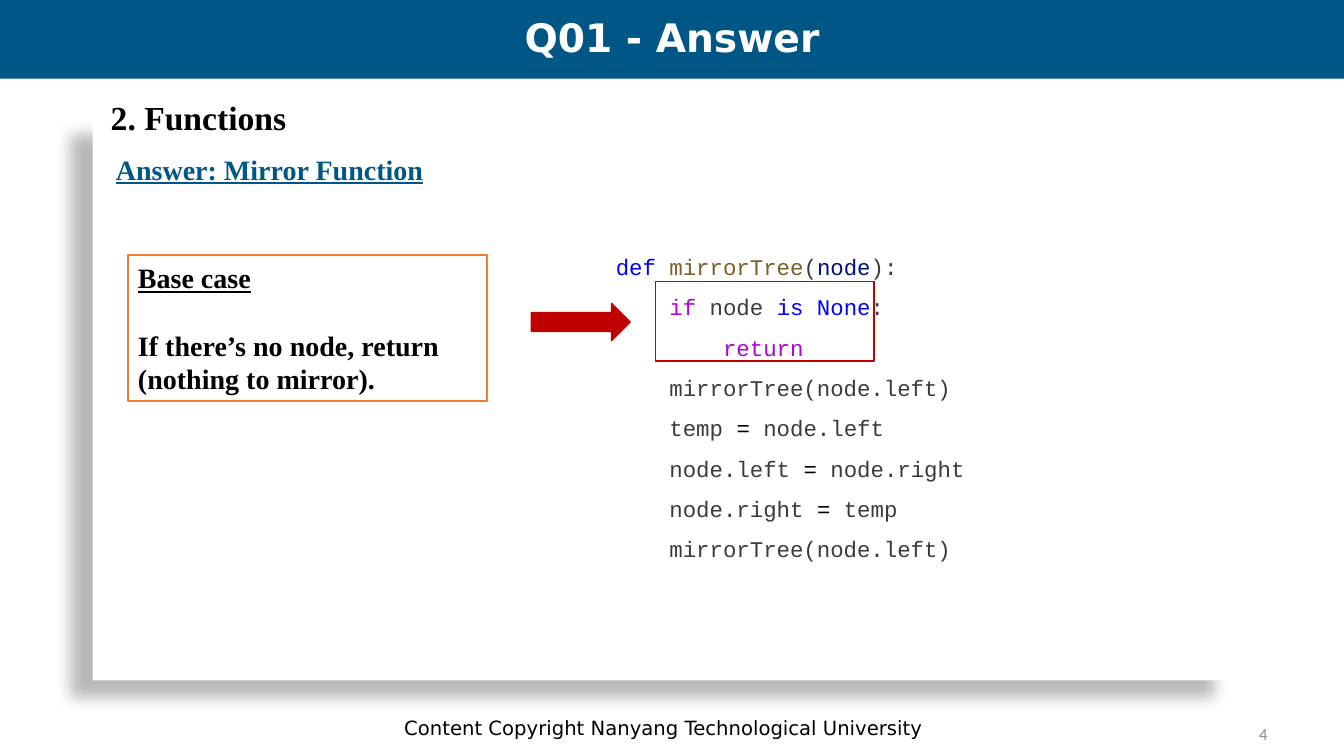
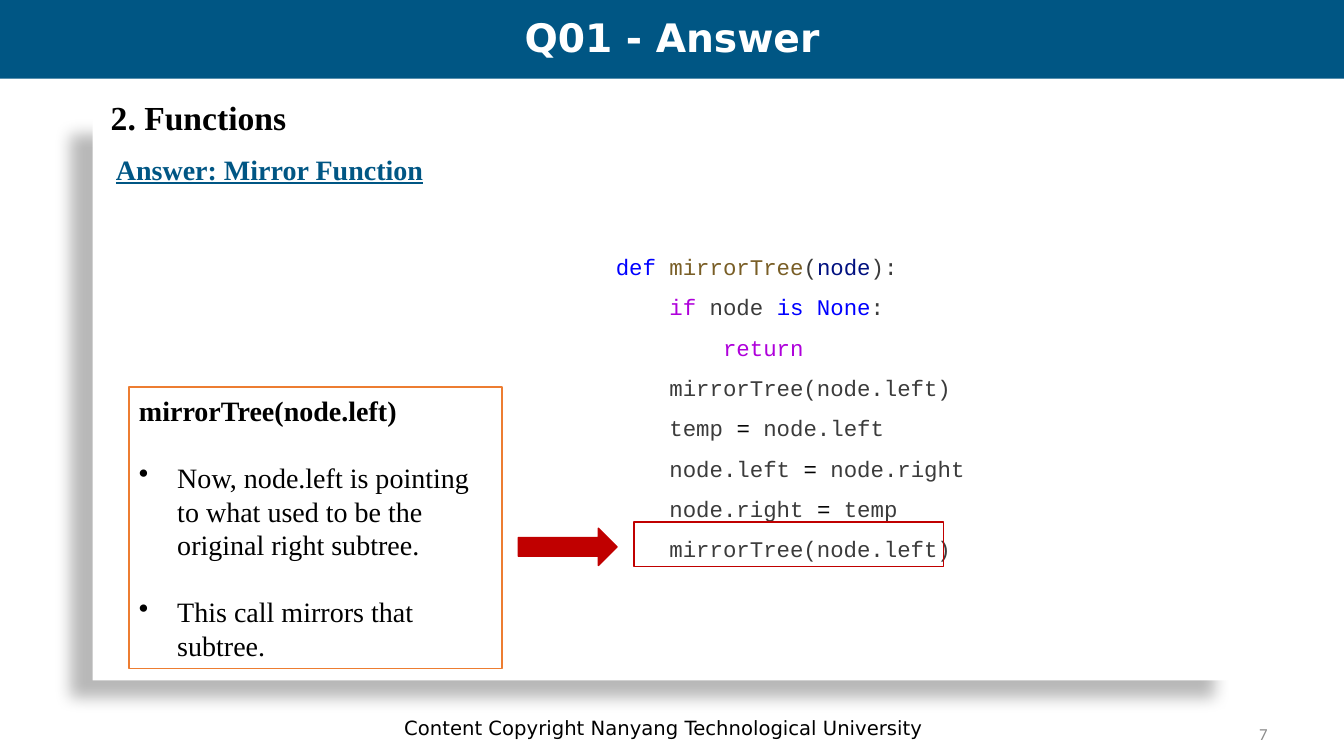
from lxml import etree
from pptx import Presentation
from pptx.dml.color import RGBColor
from pptx.enum import shapes, text
from pptx.oxml import ns
from pptx.util import Inches, Pt

BLUE = RGBColor(0x00, 0x56, 0x84)
WHITE = RGBColor(0xFF, 0xFF, 0xFF)
BLACK = RGBColor(0x00, 0x00, 0x00)
GRAY = RGBColor(0x8C, 0x8C, 0x8C)
ORANGE = RGBColor(0xED, 0x7D, 0x31)
RED = RGBColor(0xC0, 0x00, 0x00)
KEYWORD = RGBColor(0x00, 0x00, 0xFF)
CONTROL = RGBColor(0xAF, 0x00, 0xDB)
FUNCTION = RGBColor(0x79, 0x5E, 0x26)
PARAMETER = RGBColor(0x00, 0x10, 0x80)
PLAIN = RGBColor(0x3B, 0x3B, 0x3B)

SANS = "DejaVu Sans"
SERIF = "Times New Roman"
CODE_FONT = "Courier New"

RECTANGLE = shapes.MSO_SHAPE.RECTANGLE
RIGHT_ARROW = shapes.MSO_SHAPE.RIGHT_ARROW
MIDDLE = text.MSO_ANCHOR.MIDDLE
CENTER = text.PP_ALIGN.CENTER

BLANK_LINE = 24
BULLET_INDENT = Inches(0.38)

CODE_LINES = [
    [("def ", KEYWORD), ("mirrorTree", FUNCTION), ("(", PLAIN),
     ("node", PARAMETER), ("):", PLAIN)],
    [("    if", CONTROL), (" node ", PLAIN), ("is None", KEYWORD), (":", PLAIN)],
    [("        return", CONTROL)],
    [("    mirrorTree(node.left)", PLAIN)],
    [("    temp ", PLAIN), ("= ", BLACK), ("node.left", PLAIN)],
    [("    node.left ", PLAIN), ("= ", BLACK), ("node.right", PLAIN)],
    [("    node.right ", PLAIN), ("=", BLACK), (" temp", PLAIN)],
    [("    mirrorTree(node.left)", PLAIN)],
]


def write(paragraph, content, *, font=SERIF, size=20, color=BLACK,
          bold=False, underline=False):
    """Add one formatted run to a paragraph."""
    run = paragraph.add_run()
    run.text = content
    run.font.name = font
    run.font.size = Pt(size)
    run.font.color.rgb = color
    run.font.bold = bold
    run.font.underline = underline


def add_text_box(slide, box, content="", *, align=text.PP_ALIGN.LEFT,
                 anchor=text.MSO_ANCHOR.TOP, **style):
    shape = slide.shapes.add_textbox(*map(Inches, box))
    frame = shape.text_frame
    frame.word_wrap = True
    frame.vertical_anchor = anchor
    if content:
        frame.paragraphs[0].alignment = align
        write(frame.paragraphs[0], content, **style)
    return shape


def add_box(slide, box, *, kind=RECTANGLE, fill=None, line=None):
    shape = slide.shapes.add_shape(kind, *map(Inches, box))
    shape.shadow.inherit = False
    if fill is None:
        shape.fill.background()
    else:
        shape.fill.solid()
        shape.fill.fore_color.rgb = fill
    if line is None:
        shape.line.fill.background()
    else:
        shape.line.color.rgb = line
        shape.line.width = Pt(1)
    return shape


def cast_shadow(shape, *, blur, distance, angle, opacity):
    effects = shape.element.spPr.find(ns.qn("a:effectLst"))
    shadow = etree.SubElement(
        effects, ns.qn("a:outerShdw"), blurRad=str(Pt(blur)),
        dist=str(Pt(distance)), dir=str(angle * 60000), algn="tr",
        rotWithShape="0")
    color = etree.SubElement(shadow, ns.qn("a:srgbClr"), val=str(BLACK))
    etree.SubElement(color, ns.qn("a:alpha"), val=str(opacity * 1000))


def add_bullet(paragraph):
    properties = paragraph._p.get_or_add_pPr()
    properties.set("marL", str(BULLET_INDENT))
    properties.set("indent", str(-BULLET_INDENT))
    etree.SubElement(properties, ns.qn("a:buChar"), char="•")


def prepare_layout(layout):
    for placeholder in list(layout.placeholders):
        if placeholder.placeholder_format.type != shapes.PP_PLACEHOLDER.TITLE:
            layout.shapes.element.remove(placeholder.element)
    title = layout.placeholders[0]
    title.left, title.top, title.width, title.height = map(
        Inches, (0, 0.04, 13.33, 0.71))


def share_frame(slide):
    """Draw panel, band and footer, then move them to the slide's layout."""
    panel = add_box(slide, (0.92, 1.17, 11.33, 5.58), fill=WHITE)
    cast_shadow(panel, blur=11.8, distance=19.7, angle=141, opacity=28)
    band = add_box(slide, (0, 0, 13.33, 0.78), fill=BLUE)
    footer = add_text_box(
        slide, (1.79, 7.02, 9.58, 0.4),
        "Content Copyright Nanyang Technological University",
        align=CENTER, anchor=MIDDLE, font=SANS, size=14)
    for shape in (panel, band, footer):
        slide.slide_layout.shapes.element.append(shape.element)


def add_code(slide):
    frame = add_text_box(slide, (6.01, 2.33, 6.67, 3.29)).text_frame
    for index, line in enumerate(CODE_LINES):
        paragraph = frame.add_paragraph() if index else frame.paragraphs[0]
        paragraph.line_spacing = 1.5
        for content, color in line:
            write(paragraph, content, font=CODE_FONT, size=16, color=color)


def add_common_content(slide, number):
    title = slide.shapes.title.text_frame
    title.vertical_anchor = MIDDLE
    title.paragraphs[0].alignment = CENTER
    title.paragraphs[0].line_spacing = 0.9
    write(title.paragraphs[0], "Q01 - Answer", font=SANS, size=28,
          color=WHITE, bold=True)
    add_text_box(slide, (9.56, 7.08, 3.11, 0.4), number,
                 align=text.PP_ALIGN.RIGHT, anchor=MIDDLE,
                 font="Calibri", size=12, color=GRAY)
    add_code(slide)
    add_text_box(slide, (1, 0.91, 3.17, 0.5), "2. Functions",
                 size=24, bold=True)
    add_text_box(slide, (1.05, 1.46, 4.25, 0.44), "Answer: Mirror Function",
                 color=BLUE, bold=True, underline=True)


def add_explanation(slide, box, heading, notes, *, bulleted=False):
    """Add an outlined box: a bold heading, then notes a line apart."""
    frame = add_box(slide, box, fill=WHITE, line=ORANGE).text_frame
    frame.word_wrap = True
    frame.vertical_anchor = MIDDLE
    frame.paragraphs[0].alignment = text.PP_ALIGN.LEFT
    write(frame.paragraphs[0], heading, bold=True, underline=not bulleted)
    for note in notes:
        paragraph = frame.add_paragraph()
        paragraph.alignment = text.PP_ALIGN.LEFT
        paragraph.space_before = Pt(BLANK_LINE)
        if bulleted:
            add_bullet(paragraph)
        write(paragraph, note, bold=not bulleted)


def point_at_code(slide, arrow_left, arrow_top, highlight):
    add_box(slide, (arrow_left, arrow_top, 0.98, 0.37), kind=RIGHT_ARROW,
            fill=RED, line=RED)
    add_box(slide, highlight, line=RED)


def main():
    presentation = Presentation()
    presentation.slide_width = Inches(13.33)
    presentation.slide_height = Inches(7.5)
    layout = presentation.slide_layouts.get_by_name("Title Only")
    prepare_layout(layout)

    base_case = presentation.slides.add_slide(layout)
    share_frame(base_case)
    add_common_content(base_case, "4")
    add_explanation(base_case, (1.27, 2.53, 3.56, 1.45), "Base case",
                    ["If there’s no node, return (nothing to mirror)."])
    point_at_code(base_case, 5.27, 3.01, (6.5, 2.79, 2.17, 0.79))

    second_call = presentation.slides.add_slide(layout)
    add_common_content(second_call, "7")
    add_explanation(
        second_call, (1.28, 3.84, 3.7, 2.79), "mirrorTree(node.left)",
        ["Now, node.left is pointing to what used to be the original right subtree.",
         "This call mirrors that subtree."], bulleted=True)
    point_at_code(second_call, 5.14, 5.24, (6.29, 5.18, 3.07, 0.44))

    presentation.save("out.pptx")


if __name__ == "__main__":
    main()
